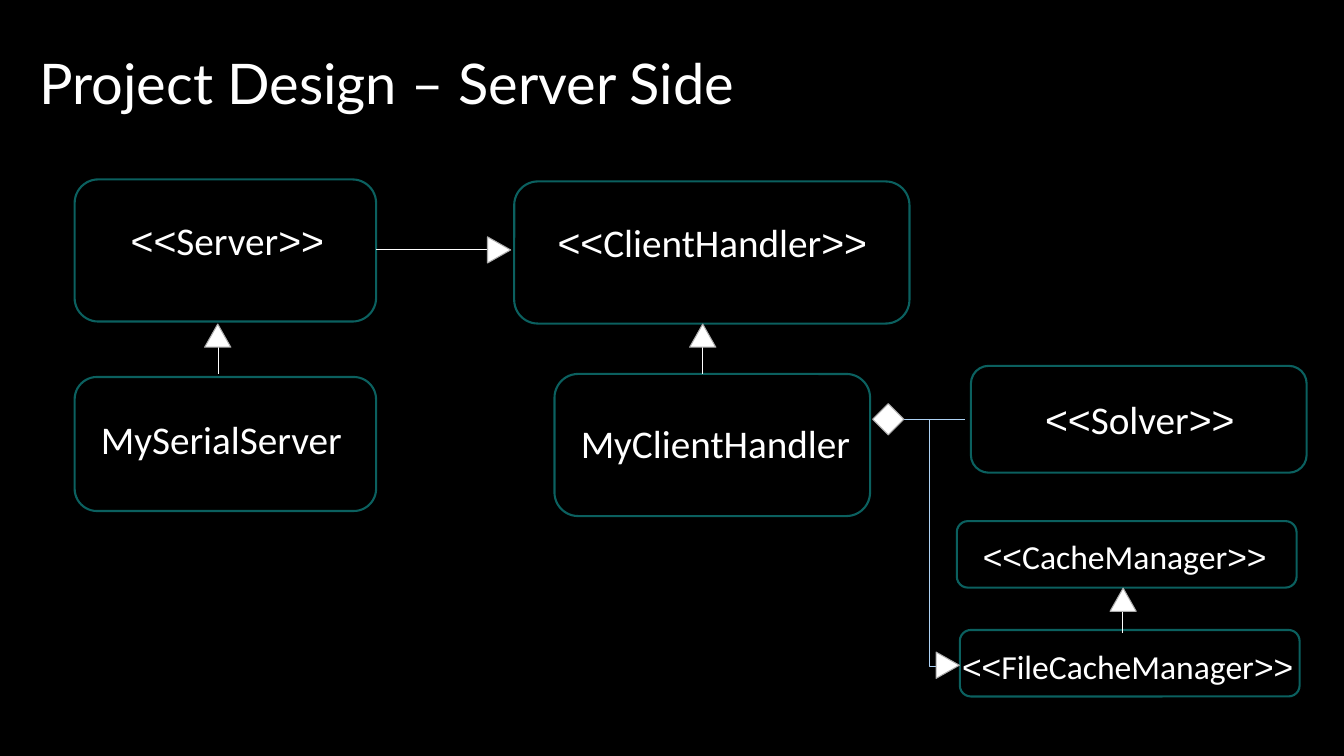
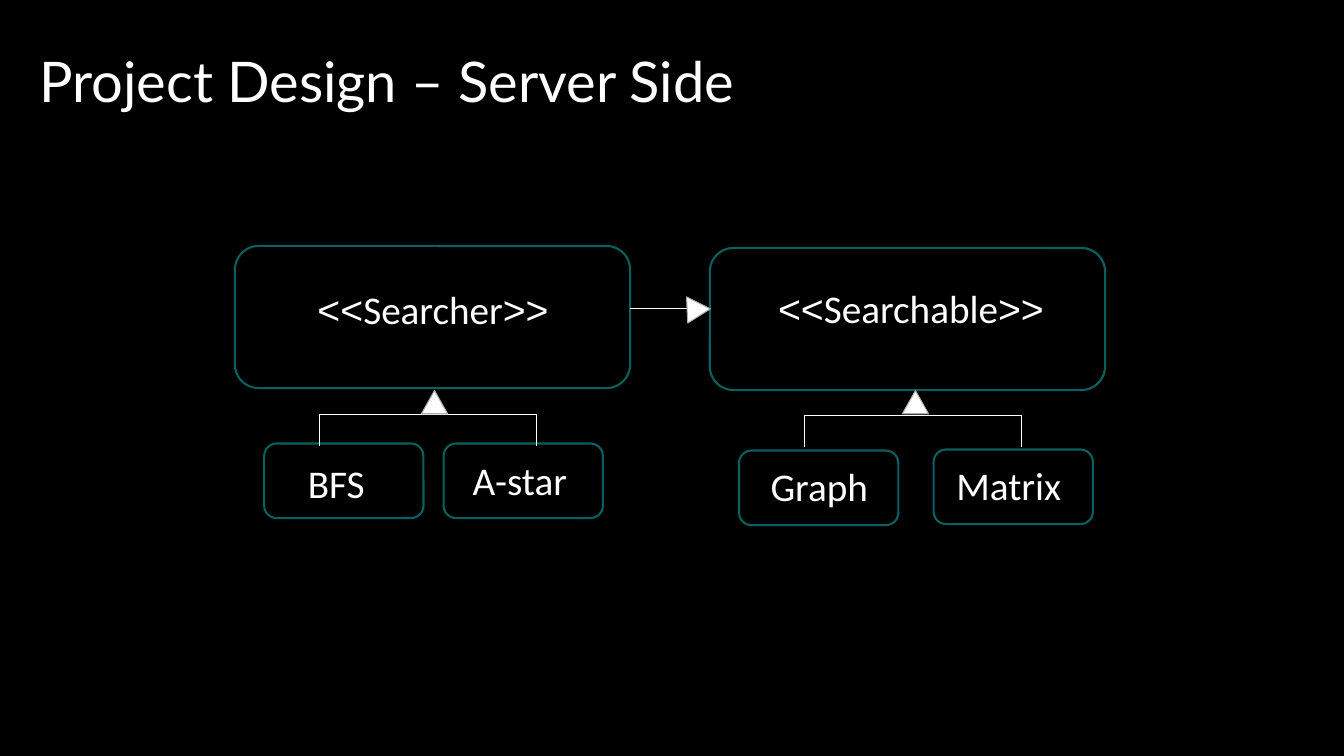
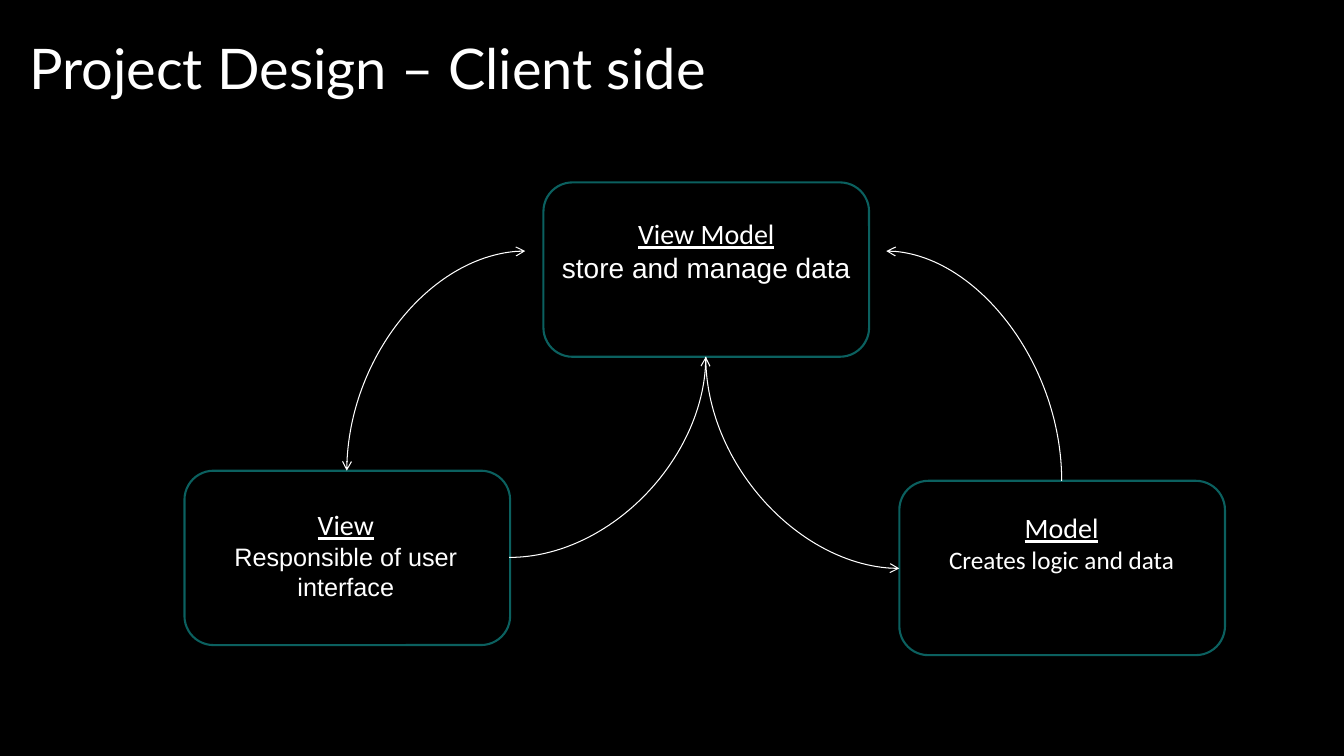
from lxml.etree import SubElement
from pptx import Presentation
from pptx.dml.color import RGBColor
from pptx.enum.shapes import MSO_CONNECTOR as Connector, MSO_SHAPE as Shape
from pptx.enum.text import MSO_ANCHOR as Anchor, PP_ALIGN as Align
from pptx.oxml.ns import qn
from pptx.util import Inches, Pt

# Shared look
BLACK, WHITE, TEAL, GREY, PALE_BLUE = "000000", "FFFFFF", "1CF0EE", "ABABAB", "AED2F4"
TITLE_SIZE = (9.73, 1.35)
MARKER_SIZES = {Shape.ISOSCELES_TRIANGLE: (0.26, 0.23), Shape.DIAMOND: (0.31, 0.31)}
STRAIGHT, BENT, CURVED = "line", "bentConnector2", "curvedConnector2"
CONNECTOR_TYPES = {STRAIGHT: Connector.STRAIGHT, BENT: Connector.ELBOW, CURVED: Connector.CURVE}


def name(text, size=28):
    return [(text, size, "Calibri", False, True)]


def role(heading, detail, size, font):
    return [(heading, 20, "Calibri", True, False), (detail, size, font, False, False)]


# Content: nodes are (box, label area, lines); markers are (shape, centre x, centre y, turn);
# links are (kind, from, to, colour, arrow at start, arrow at end)
TRIANGLE, DIAMOND = Shape.ISOSCELES_TRIANGLE, Shape.DIAMOND
LARGE, SMALL, CACHE, PART = (3.92, 1.41), (1.58, 0.74), (3.37, 0.66), (3.23, 1.73)
SLIDES = [
    {
        "title": ("Project Design – Server Side", 0.29, 0.14),
        "nodes": [
            ((0.74, 1.78, 2.99, 1.41), (0.4, 2.1, 3.71, 0.88), name("<<Server>>")),
            ((5.1, 1.8, *LARGE), (5.21, 2.12, 3.71, 0.57), name("<<ClientHandler>>")),
            ((0.74, 3.74, 2.99, 1.33), (0.34, 4.07, 3.71, 0.57), name("MySerialServer")),
            ((5.5, 3.71, 3.13, 1.41), (5.24, 4.11, 3.71, 0.57), name("MyClientHandler")),
            ((9.63, 3.63, 3.33, 1.06), (9.45, 3.87, 3.71, 0.57), name("<<Solver>>")),
            ((9.49, 5.17, *CACHE), (9.3, 5.27, 3.71, 0.5), name("<<CacheManager>>", 24)),
            ((9.52, 6.25, *CACHE), (9.33, 6.36, 3.71, 0.5), name("<<FileCacheManager>>", 24)),
        ],
        "links": [
            (STRAIGHT, (6.97, 3.71), (6.97, 3.29), WHITE, False, False),
            (STRAIGHT, (11.13, 6.28), (11.13, 5.85), WHITE, False, False),
            (STRAIGHT, (2.17, 3.71), (2.17, 3.29), WHITE, False, False),
            (STRAIGHT, (3.73, 2.48), (4.99, 2.48), WHITE, False, False),
            (STRAIGHT, (8.96, 4.16), (9.57, 4.16), PALE_BLUE, False, False),
            (BENT, (9.33, 6.61), (9.22, 4.16), PALE_BLUE, False, False),
        ],
        "markers": [
            (TRIANGLE, 6.97, 3.33, 0), (TRIANGLE, 11.14, 5.95, 0), (TRIANGLE, 2.16, 3.33, 0),
            (TRIANGLE, 4.95, 2.48, 90), (TRIANGLE, 9.4, 6.6, 90), (DIAMOND, 8.81, 4.16, 0),
        ],
    },
    {
        "title": ("Project Design – Server Side", 0.29, 0.12),
        "nodes": [
            ((2.33, 2.44, *LARGE), (2.13, 2.78, 4.33, 0.57), name("<<Searcher>>")),
            ((7.04, 2.46, *LARGE), (7.18, 2.77, 3.71, 0.57), name("<<Searchable>>")),
            ((2.62, 4.4, *SMALL), (2.05, 4.51, 2.57, 0.57), name("BFS")),
            ((4.4, 4.4, *SMALL), (4.05, 4.48, 2.21, 0.57), name("A-star")),
            ((7.33, 4.47, *SMALL), (7.38, 4.54, 1.49, 0.57), name("Graph")),
            ((9.26, 4.46, *SMALL), (9.26, 4.53, 1.49, 0.57), name("Matrix")),
        ],
        "links": [
            (STRAIGHT, (6.25, 3.06), (6.92, 3.06), WHITE, False, False),
            *[(STRAIGHT, start, end, WHITE, False, False)
              for left, right, top, bottom in [(3.17, 5.32, 4.11, 4.42), (7.98, 10.13, 4.12, 4.43)]
              for start, end in [((right, top), (left, top)),
                                 ((left, bottom), (left, top)),
                                 ((right, bottom), (right, top))]],
        ],
        "markers": [(TRIANGLE, 9.08, 3.99, 0), (TRIANGLE, 4.31, 3.99, 0), (TRIANGLE, 6.93, 3.07, 87.3)],
    },
    {
        "title": ("Project Design – Client side", 0.19, -0.01),
        "nodes": [
            ((1.83, 4.67, *PART), (1.98, 4.99, 2.9, 1.04),
             role("View", "Responsible of user interface", 18, "Arial")),
            ((5.39, 1.81, *PART), (5.21, 2.1, 3.59, 0.77),
             role("View Model", "store and manage data", 20, "Arial")),
            ((8.92, 4.77, *PART), (9.26, 5.02, 2.54, 0.74),
             role("Model", "Creates logic and data", 18, "Calibri")),
        ],
        "links": [
            (CURVED, (5.21, 2.49), (3.44, 4.67), WHITE, True, True),
            (CURVED, (5.05, 5.53), (7, 3.54), WHITE, False, True),
            (CURVED, (8.92, 5.64), (7, 3.54), WHITE, True, False),
            (CURVED, (8.79, 2.49), (10.53, 4.77), WHITE, True, False),
        ],
        "markers": [],
    },
]


def colour(hex_value):
    return RGBColor.from_string(hex_value)


def inches(values):
    return [Inches(value) for value in values]


def write(paragraph, text, size, font, underline, right_to_left, align):
    paragraph.alignment = align
    run = paragraph.add_run()
    run.text = text
    formats = {"size": Pt(size), "name": font, "underline": underline, "bold": False}
    for attribute, value in formats.items():
        setattr(run.font, attribute, value)
    run.font.color.rgb = colour(WHITE)
    if right_to_left:
        # Brackets in right-to-left text take the complex-script font
        paragraph._p.get_or_add_pPr().set("rtl", "1")
        SubElement(run._r.get_or_add_rPr(), qn("a:cs"), typeface="Arial")


def set_line(shape, hex_value, width):
    shape.line.color.rgb = colour(hex_value)
    shape.line.width = Pt(width)


def add_title(slide, text, left, top):
    title = slide.shapes.title
    position = inches((left, top, *TITLE_SIZE))
    for attribute, value in zip(("left", "top", "width", "height"), position):
        setattr(title, attribute, value)
    title.text_frame.vertical_anchor = Anchor.MIDDLE
    write(title.text_frame.paragraphs[0], text, 40, "Lato", False, False, Align.LEFT)


def add_box(slide, area):
    box = slide.shapes.add_shape(Shape.ROUNDED_RECTANGLE, *inches(area))
    box.shadow.inherit = False
    box.fill.background()
    set_line(box, TEAL, 1.5)
    # Line at 40% opacity
    line_colour = box.line._get_or_add_ln().find(".//" + qn("a:srgbClr"))
    SubElement(line_colour, qn("a:alpha"), val="40000")


def add_label(slide, area, lines):
    frame = slide.shapes.add_textbox(*inches(area)).text_frame
    frame.word_wrap = True
    for index, line in enumerate(lines):
        paragraph = frame.add_paragraph() if index else frame.paragraphs[0]
        write(paragraph, *line, Align.CENTER)


def add_link(slide, kind, start, end, hex_value, start_arrow, end_arrow):
    link = slide.shapes.add_connector(CONNECTOR_TYPES[kind], *inches((*start, *end)))
    set_line(link, hex_value, 0.75)
    properties = link._element.spPr
    properties.find(qn("a:prstGeom")).set("prst", kind)
    line = link.line._get_or_add_ln()
    for tag, wanted in (("a:headEnd", start_arrow), ("a:tailEnd", end_arrow)):
        if wanted:
            SubElement(line, qn(tag), type="arrow")
    SubElement(properties, qn("a:effectLst"))


def add_marker(slide, kind, centre_x, centre_y, turn):
    width, height = MARKER_SIZES[kind]
    area = (centre_x - width / 2, centre_y - height / 2, width, height)
    marker = slide.shapes.add_shape(kind, *inches(area))
    marker.shadow.inherit = False
    marker.rotation = turn
    marker.fill.solid()
    marker.fill.fore_color.rgb = colour(WHITE)
    set_line(marker, GREY, 0.75)


def main():
    presentation = Presentation()
    presentation.slide_width, presentation.slide_height = inches((13.33, 7.5))
    background = presentation.slide_master.background.fill
    background.solid()
    background.fore_color.rgb = colour(BLACK)

    for content in SLIDES:
        slide = presentation.slides.add_slide(presentation.slide_layouts[5])
        add_title(slide, *content["title"])
        for box_area, label_area, lines in content["nodes"]:
            add_box(slide, box_area)
            add_label(slide, label_area, lines)
        for link in content["links"]:
            add_link(slide, *link)
        for marker in content["markers"]:
            add_marker(slide, *marker)
    presentation.save("out.pptx")


if __name__ == "__main__":
    main()
